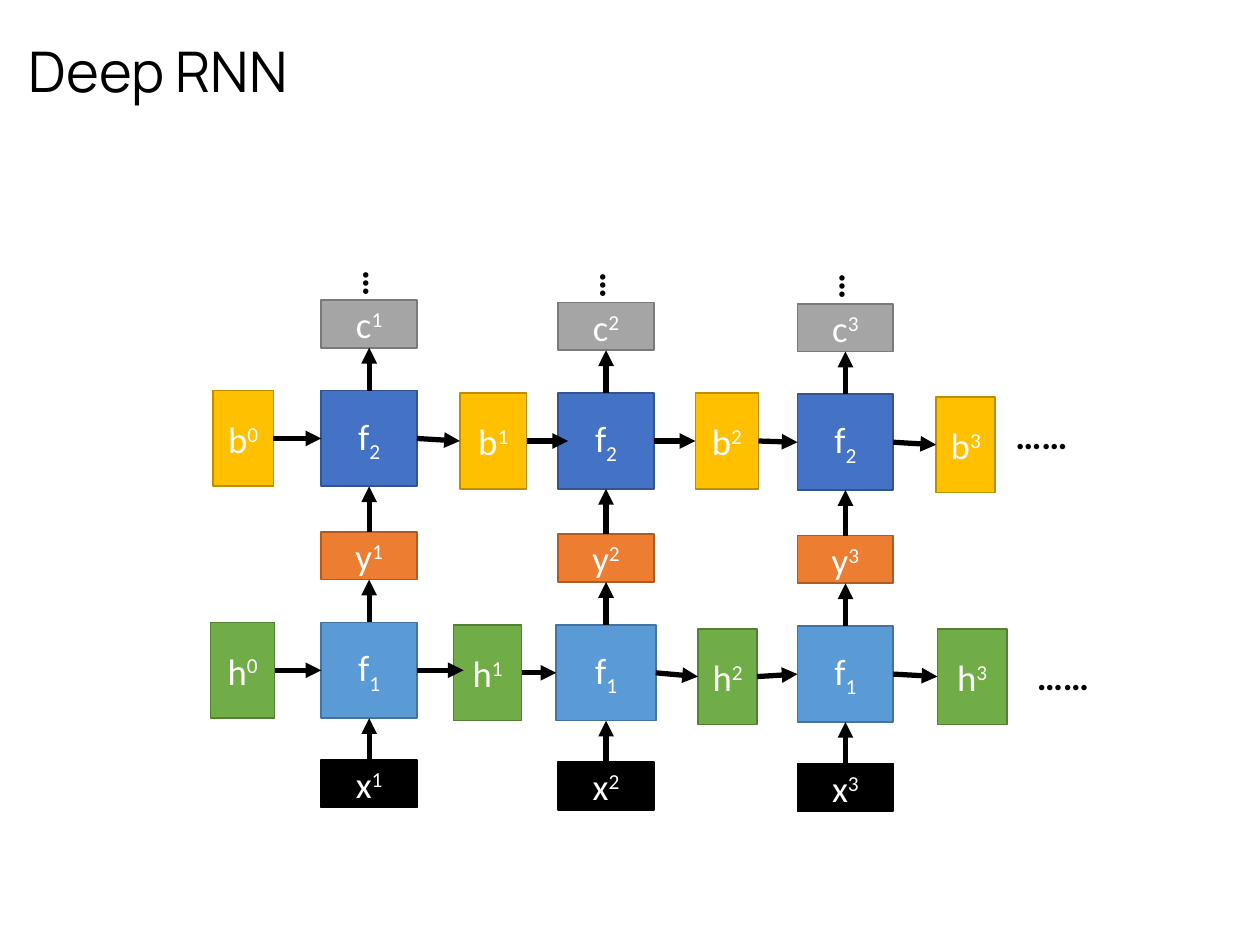
from lxml.etree import SubElement
from pptx import Presentation
from pptx.dml.color import RGBColor
from pptx.enum.shapes import MSO_CONNECTOR, MSO_SHAPE
from pptx.enum.text import MSO_ANCHOR, MSO_AUTO_SIZE, PP_ALIGN
from pptx.oxml.ns import qn
from pptx.util import Inches, Pt

BLACK = RGBColor(0, 0, 0)
WHITE = RGBColor(255, 255, 255)
# Fill and outline of each kind of box
LIGHT_BLUE = RGBColor(0x5B, 0x9B, 0xD5), RGBColor(0x43, 0x73, 0x9E)
DARK_BLUE = RGBColor(0x44, 0x72, 0xC4), RGBColor(0x32, 0x54, 0x91)
GREEN = RGBColor(0x70, 0xAD, 0x47), RGBColor(0x53, 0x80, 0x35)
YELLOW = RGBColor(0xFF, 0xC0, 0x00), RGBColor(0xBD, 0x8E, 0x00)
ORANGE = RGBColor(0xED, 0x7D, 0x31), RGBColor(0xAF, 0x5C, 0x24)
GRAY = RGBColor(0xA5, 0xA5, 0xA5), RGBColor(0x7A, 0x7A, 0x7A)
INK = BLACK, BLACK

# Sides of a rectangle where a connector joins
TOP, LEFT, BOTTOM, RIGHT = range(4)
SUPERSCRIPT, SUBSCRIPT = 30000, -25000

# Grid in inches: one column per time step, each a little lower than the first
COLUMN_CENTERS = (2.93, 4.81, 6.71)
COLUMN_DROPS = (0, 0.02, 0.03)
CELL, SLIM = 0.76, 0.38
TOP_C, TOP_F2, TOP_Y, TOP_F1, TOP_X = 2.38, 3.1, 4.22, 4.94, 6.03

# State boxes of each layer: left, drop below the row, width
H_STATES = ((1.67, 0, 0.51), (3.6, 0.02, 0.54), (5.54, 0.05, 0.47), (7.44, 0.05, 0.55))
B_STATES = ((1.69, 0, 0.48), (3.65, 0.02, 0.53), (5.52, 0.02, 0.5), (7.43, 0.05, 0.47))
OVERLAP = 0.08


def style_run(run, color, size=21, font="Calibri", bold=False):
    run.font.name = font
    run.font.size = Pt(size)
    run.font.bold = bold
    run.font.color.rgb = color


def add_title(slide, text):
    title = slide.shapes.title
    title.left, title.top = Inches(0.13), Inches(0.09)
    title.width, title.height = Inches(7.07), Inches(0.94)
    frame = title.text_frame
    frame.text = text
    frame.auto_size = MSO_AUTO_SIZE.NONE
    frame.vertical_anchor = MSO_ANCHOR.MIDDLE
    frame.paragraphs[0].alignment = PP_ALIGN.LEFT
    style_run(frame.paragraphs[0].runs[0], BLACK, 32, "Manrope")


def add_box(slide, left, top, width, height, colors, letter, index, baseline=SUPERSCRIPT):
    box = slide.shapes.add_shape(
        MSO_SHAPE.RECTANGLE, Inches(left), Inches(top), Inches(width), Inches(height))
    box.shadow.inherit = False
    box.fill.solid()
    box.fill.fore_color.rgb, box.line.color.rgb = colors
    box.line.width = Pt(1)
    frame = box.text_frame
    frame.vertical_anchor = MSO_ANCHOR.MIDDLE
    paragraph = frame.paragraphs[0]
    paragraph.alignment = PP_ALIGN.CENTER
    for text in (letter, str(index)):
        run = paragraph.add_run()
        run.text = text
        style_run(run, WHITE)
    run.font._element.set("baseline", str(baseline))
    return box


def add_row(slide, top, height, colors, letter, index=None, widths=(CELL,) * 3):
    """One box per time step; a fixed index is set as a subscript."""
    return [
        add_box(slide, center - width / 2, top + drop, width, height, colors, letter,
                index or step, SUBSCRIPT if index else SUPERSCRIPT)
        for step, (center, drop, width) in enumerate(
            zip(COLUMN_CENTERS, COLUMN_DROPS, widths), start=1)]


def add_states(slide, top, states, colors, letter):
    return [add_box(slide, left, top + drop, width, CELL, colors, letter, index)
            for index, (left, drop, width) in enumerate(states)]


def add_arrow(slide, source, source_side, target, target_side, overlap=0):
    """Join two boxes; with an overlap the head reaches inside the target."""
    arrow = slide.shapes.add_connector(MSO_CONNECTOR.STRAIGHT, 0, 0, 0, 0)
    arrow.begin_connect(source, source_side)
    if overlap:
        arrow.end_x = target.left + Inches(overlap)
        arrow.end_y = arrow.begin_y
    else:
        arrow.end_connect(target, target_side)
    arrow.line.color.rgb = BLACK
    arrow.line.width = Pt(3)
    SubElement(arrow.line._get_or_add_ln(), qn("a:tailEnd"), type="triangle")
    SubElement(arrow._element.spPr, qn("a:effectLst"))


def link_layer(slide, states, cells, overlapped):
    """Run arrows through state, cell, state, ... along one layer."""
    chain = [states[0]]
    for cell, state in zip(cells, states[1:]):
        chain += [cell, state]
    for source, target in zip(chain, chain[1:]):
        add_arrow(slide, source, RIGHT, target, LEFT,
                  OVERLAP if target is overlapped else 0)


def add_dots(slide, left, top, width, text, rotation=0):
    box = slide.shapes.add_textbox(Inches(left), Inches(top), Inches(width), Inches(0.45))
    box.rotation = rotation
    frame = box.text_frame
    frame.word_wrap = True
    frame.auto_size = MSO_AUTO_SIZE.SHAPE_TO_FIT_TEXT
    frame.text = text
    style_run(frame.paragraphs[0].runs[0], BLACK, bold=True)


def main():
    presentation = Presentation()
    presentation.slide_width, presentation.slide_height = Inches(10), Inches(7.5)
    slide = presentation.slides.add_slide(presentation.slide_layouts[5])
    add_title(slide, "Deep RNN")

    # Rows from the inputs up to the outputs of the second layer
    inputs = add_row(slide, TOP_X, SLIM, INK, "x")
    first_cells = add_row(slide, TOP_F1, CELL, LIGHT_BLUE, "f", 1, (CELL, 0.79, CELL))
    hidden = add_row(slide, TOP_Y, SLIM, ORANGE, "y")
    second_cells = add_row(slide, TOP_F2, CELL, DARK_BLUE, "f", 2)
    outputs = add_row(slide, TOP_C, SLIM, GRAY, "c")
    h_states = add_states(slide, TOP_F1, H_STATES, GREEN, "h")
    b_states = add_states(slide, TOP_F2, B_STATES, YELLOW, "b")

    # Upward arrows within each time step
    rows = [inputs, first_cells, hidden, second_cells, outputs]
    for lower_row, upper_row in zip(rows, rows[1:]):
        for lower, upper in zip(lower_row, upper_row):
            add_arrow(slide, lower, TOP, upper, BOTTOM)

    # Arrows through time
    link_layer(slide, h_states, first_cells, h_states[1])
    link_layer(slide, b_states, second_cells, second_cells[1])

    # Continuation dots to the right and above
    add_dots(slide, 8.13, 5.14, 1.05, "……")
    add_dots(slide, 7.96, 3.23, 0.9, "……")
    for center, drop in zip(COLUMN_CENTERS, COLUMN_DROPS):
        add_dots(slide, center - 0.11, 2 + drop, 0.36, "…", 90)

    presentation.save("out.pptx")


if __name__ == "__main__":
    main()
